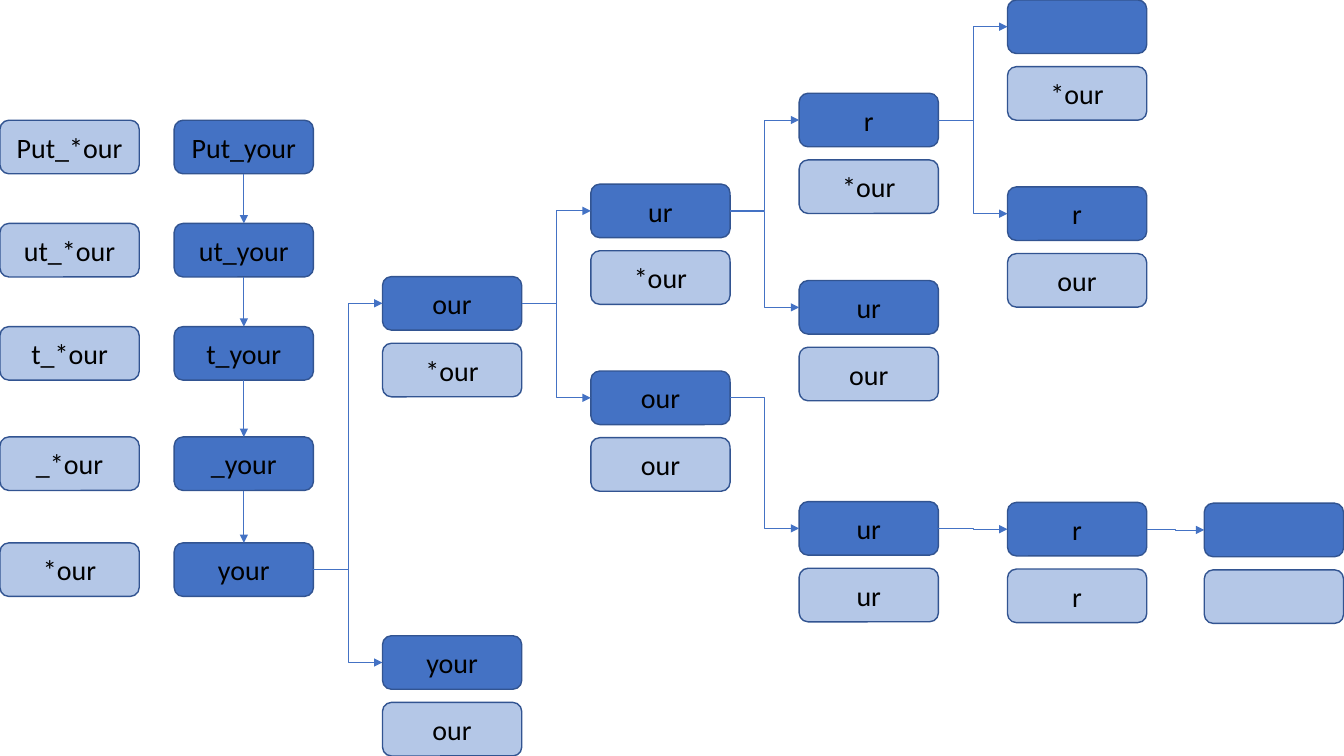
"""Build a tree of matching states, each with its remaining text and pattern."""
from lxml import etree
from pptx import Presentation
from pptx.dml.color import RGBColor
from pptx.enum.shapes import MSO_CONNECTOR, MSO_SHAPE
from pptx.enum.text import MSO_ANCHOR, PP_ALIGN
from pptx.oxml.ns import qn
from pptx.util import Cm, Pt

ROUNDED = MSO_SHAPE.ROUNDED_RECTANGLE
STRAIGHT, ELBOW = MSO_CONNECTOR.STRAIGHT, MSO_CONNECTOR.ELBOW
MIDDLE, CENTER = MSO_ANCHOR.MIDDLE, PP_ALIGN.CENTER
TOP, LEFT, BOTTOM, RIGHT = range(4)

BLUE = RGBColor(0x44, 0x72, 0xC4)
PALE_BLUE = RGBColor(0xB4, 0xC7, 0xE7)
OUTLINE = RGBColor(0x32, 0x54, 0x91)
BLACK = RGBColor(0, 0, 0)

BOX_WIDTH, BOX_HEIGHT = 3.51, 1.35
PATTERN_OFFSET = 1.68
CHAIN_LEFT = 4.39
COLUMN_STEP = 5.25
LAST_LEFT = 30.35

presentation = Presentation()
presentation.slide_width, presentation.slide_height = Cm(33.87), Cm(19.05)
slide = presentation.slides.add_slide(presentation.slide_layouts[6])


def add_box(left, top, text, fill):
    shape = slide.shapes.add_shape(ROUNDED, Cm(left), Cm(top), Cm(BOX_WIDTH), Cm(BOX_HEIGHT))
    shape.shadow.inherit = False
    shape.fill.solid()
    shape.fill.fore_color.rgb = fill
    shape.line.color.rgb = OUTLINE
    shape.line.width = Pt(1)
    shape.text_frame.vertical_anchor = MIDDLE
    paragraph = shape.text_frame.paragraphs[0]
    paragraph.alignment = CENTER
    paragraph.font.name = "Calibri"
    paragraph.font.size = Pt(20)
    paragraph.font.color.rgb = BLACK
    if text:
        paragraph.add_run().text = text
    return shape


def add_arrow(kind, start, start_site, end, end_site):
    arrow = slide.shapes.add_connector(kind, 0, 0, 0, 0)
    arrow.begin_connect(start, start_site)
    arrow.end_connect(end, end_site)
    arrow.line.color.rgb = BLUE
    arrow.line.width = Pt(0.5)
    etree.SubElement(arrow.line._get_or_add_ln(), qn("a:tailEnd"), type="triangle")
    etree.SubElement(arrow._element.spPr, qn("a:effectLst"))


CHAIN = [
    (3.03, "Put_your", "Put_*our"),
    (5.63, "ut_your", "ut_*our"),
    (8.23, "t_your", "t_*our"),
    (11.01, "_your", "_*our"),
    (13.68, "your", "*our"),
]
previous = None
for top, text, pattern in CHAIN:
    add_box(0, top, pattern, PALE_BLUE)
    box = add_box(CHAIN_LEFT, top, text, BLUE)
    if previous is not None:
        add_arrow(STRAIGHT, previous, BOTTOM, box, TOP)
    previous = box

column_lefts = [CHAIN_LEFT + COLUMN_STEP * column for column in range(5)] + [LAST_LEFT]
BRANCHES = [
    ("skip star", "root", 1, 6.97, "our", "*our"),
    ("drop star", "root", 1, 16.02, "your", "our"),
    ("skip y", "skip star", 2, 4.64, "ur", "*our"),
    ("match our", "skip star", 2, 9.35, "our", "our"),
    ("skip o", "skip y", 3, 2.35, "r", "*our"),
    ("match ur", "skip y", 3, 7.07, "ur", "our"),
    ("skip u", "skip o", 4, 0, "", "*our"),
    ("match r", "skip o", 4, 4.71, "r", "our"),
    ("found o", "match our", 3, 12.64, "ur", "ur"),
    ("found u", "found o", 4, 12.66, "r", "r"),
    ("found r", "found u", 5, 12.68, "", ""),
]
boxes = {"root": previous}
for name, parent, column, top, text, pattern in BRANCHES:
    left = column_lefts[column]
    boxes[name] = add_box(left, top, text, BLUE)
    add_box(left, top + PATTERN_OFFSET, pattern, PALE_BLUE)
    add_arrow(ELBOW, boxes[parent], RIGHT, boxes[name], LEFT)

presentation.save("out.pptx")
